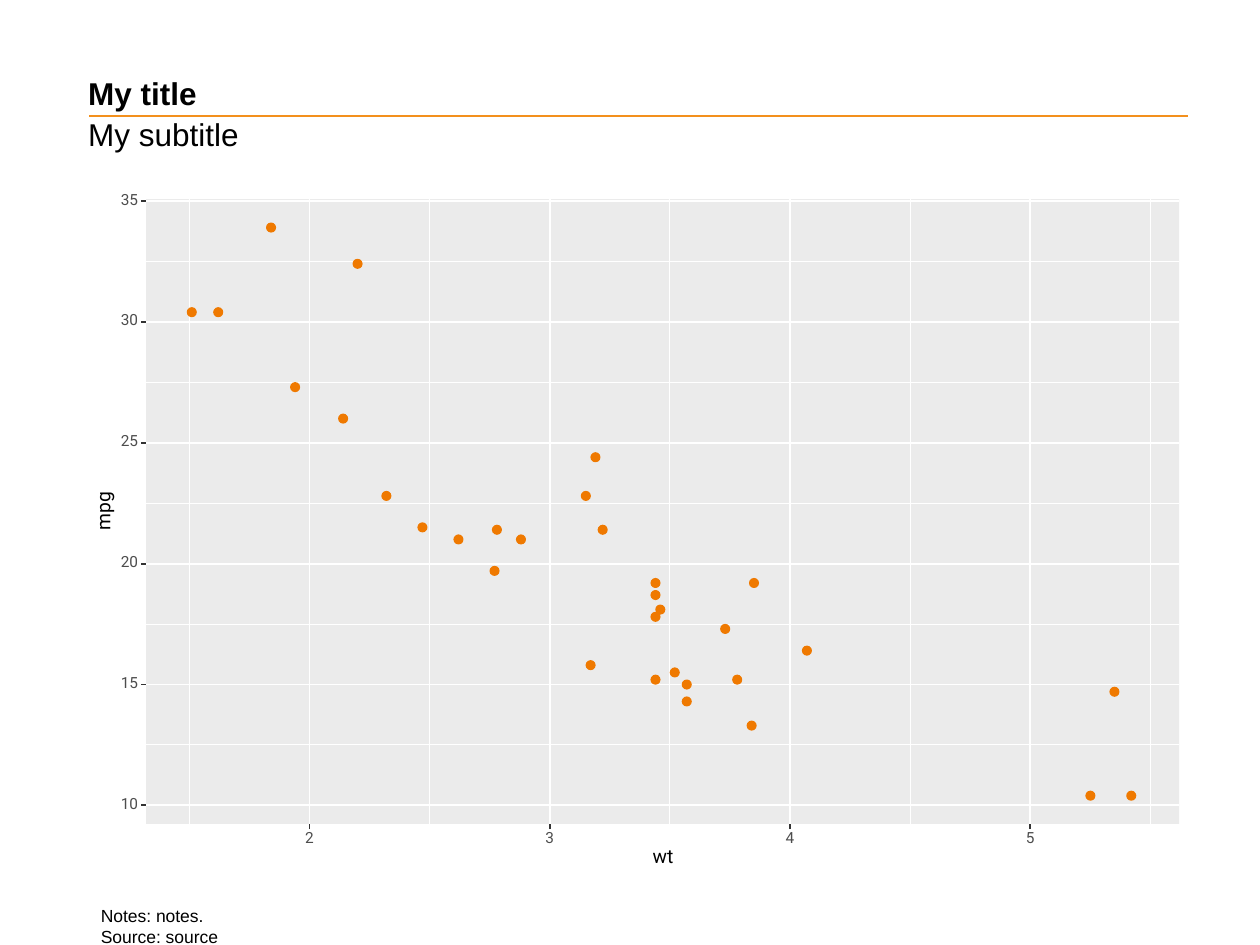
from lxml.etree import SubElement
from pptx import Presentation
from pptx.dml.color import RGBColor
from pptx.enum.shapes import MSO_CONNECTOR, MSO_SHAPE
from pptx.enum.text import MSO_ANCHOR, MSO_AUTO_SIZE, PP_ALIGN
from pptx.oxml.ns import qn
from pptx.util import Inches, Pt

COLORS = {"rule": "F3901D", "point": "EF7900", "panel": "EBEBEB", "white": "FFFFFF",
          "label": "4D4D4D", "tick": "333333", "text": "000000"}
CHART = (0.7, 1.5, 8.74, 5.48)
PANEL = (1.16, 1.58, 8.2, 4.96)
LEFT, TOP, WIDTH, HEIGHT = PANEL
RIGHT, BOTTOM = LEFT + WIDTH, TOP + HEIGHT
WT_RANGE = (1.32, 5.62)
MPG_RANGE = (9.23, 35.08)
WT_MAJOR = [2, 3, 4, 5]
WT_MINOR = [1.5, 2.5, 3.5, 4.5, 5.5]
MPG_MAJOR = [10, 15, 20, 25, 30, 35]
MPG_MINOR = [12.5, 17.5, 22.5, 27.5, 32.5]
TICK_LENGTH = 0.04
POINT_SIZE = 0.07
CARS = [
    (2.62, 21), (2.88, 21), (2.32, 22.8), (3.22, 21.4), (3.44, 18.7), (3.46, 18.1),
    (3.57, 14.3), (3.19, 24.4), (3.15, 22.8), (3.44, 19.2), (3.44, 17.8), (4.07, 16.4),
    (3.73, 17.3), (3.78, 15.2), (5.25, 10.4), (5.42, 10.4), (5.35, 14.7), (2.2, 32.4),
    (1.62, 30.4), (1.84, 33.9), (2.47, 21.5), (3.52, 15.5), (3.44, 15.2), (3.84, 13.3),
    (3.85, 19.2), (1.94, 27.3), (2.14, 26), (1.51, 30.4), (3.17, 15.8), (2.77, 19.7),
    (3.57, 15), (2.78, 21.4),
]


def wt_position(wt):
    return LEFT + WIDTH * (wt - WT_RANGE[0]) / (WT_RANGE[1] - WT_RANGE[0])


def mpg_position(mpg):
    return BOTTOM - HEIGHT * (mpg - MPG_RANGE[0]) / (MPG_RANGE[1] - MPG_RANGE[0])


class SlideBuilder:
    def __init__(self, slide):
        self.slide = slide
        self.text_font = "Arial"
        self.chart_font = "Roboto"

    def color(self, name):
        return RGBColor.from_string(COLORS[name])

    def add_run(self, paragraph, text, font_name, size, color, bold=False):
        run = paragraph.add_run()
        run.text = text
        run.font.name, run.font.size, run.font.bold = font_name, Pt(size), bold
        run.font.color.rgb = self.color(color)

    def set_frame(self, frame, anchor, inset=(0, 0), wrap=True):
        frame.word_wrap = wrap
        frame.auto_size = MSO_AUTO_SIZE.NONE
        frame.vertical_anchor = anchor
        frame.margin_left = frame.margin_right = Inches(inset[0])
        frame.margin_top = frame.margin_bottom = Inches(inset[1])

    def placeholder(self, index, box, lines, size, bold=False, inset=(0, 0),
                    anchor=MSO_ANCHOR.TOP, spacing=1.0):
        shape = self.slide.placeholders[index]
        shape.left, shape.top, shape.width, shape.height = map(Inches, box)
        self.set_frame(shape.text_frame, anchor, inset)
        paragraph = shape.text_frame.paragraphs[0]
        paragraph.alignment = PP_ALIGN.LEFT
        paragraph.line_spacing = spacing
        paragraph.space_before = Pt(0)
        properties = paragraph._p.get_or_add_pPr()
        properties.set("marL", "0")
        properties.set("indent", "0")
        SubElement(properties, qn("a:buNone"))
        for number, line in enumerate(lines):
            if number:
                paragraph.add_line_break()
            self.add_run(paragraph, line, self.text_font, size, "text", bold)

    def label(self, text, box, size, color, rotation=0):
        shape = self.slide.shapes.add_textbox(*map(Inches, box))
        shape.rotation = rotation
        self.set_frame(shape.text_frame, MSO_ANCHOR.MIDDLE, wrap=False)
        paragraph = shape.text_frame.paragraphs[0]
        paragraph.line_spacing = Pt(size)
        self.add_run(paragraph, text, self.chart_font, size, color)

    def line(self, start, end, color, width):
        points = [Inches(value) for value in (*start, *end)]
        connector = self.slide.shapes.add_connector(MSO_CONNECTOR.STRAIGHT, *points)
        connector.line.color.rgb = self.color(color)
        connector.line.width = Pt(width)
        SubElement(connector._element.spPr, qn("a:effectLst"))

    def shape(self, kind, box, fill, line_width=0):
        shape = self.slide.shapes.add_shape(kind, *map(Inches, box))
        shape.shadow.inherit = False
        shape.fill.solid()
        shape.fill.fore_color.rgb = self.color(fill)
        if line_width:
            shape.line.color.rgb = self.color(fill)
            shape.line.width = Pt(line_width)
        else:
            shape.line.fill.background()

    def grid(self, wt_values, mpg_values, width):
        for mpg in mpg_values:
            y = mpg_position(mpg)
            self.line((LEFT, y), (RIGHT, y), "white", width)
        for wt in wt_values:
            x = wt_position(wt)
            self.line((x, BOTTOM), (x, TOP), "white", width)

    def points(self):
        for wt, mpg in CARS:
            corner = (wt_position(wt) - POINT_SIZE / 2, mpg_position(mpg) - POINT_SIZE / 2)
            self.shape(MSO_SHAPE.OVAL, (*corner, POINT_SIZE, POINT_SIZE), "point", 0.71)

    def axes(self):
        for mpg in MPG_MAJOR:
            y = mpg_position(mpg)
            self.label(str(mpg), (0.96, y - 0.05, 0.14, 0.09), 8.8, "label")
            self.line((LEFT - TICK_LENGTH, y), (LEFT, y), "tick", 1.07)
        for wt in WT_MAJOR:
            x = wt_position(wt)
            self.label(str(wt), (x - 0.035, 6.61, 0.07, 0.09), 8.8, "label")
            self.line((x, BOTTOM + TICK_LENGTH), (x, BOTTOM), "tick", 1.07)
        self.label("wt", (5.18, 6.76, 0.15, 0.1), 11, "text")
        self.label("mpg", (0.68, 4, 0.3, 0.12), 11, "text", rotation=270)

    def scatter(self):
        self.shape(MSO_SHAPE.RECTANGLE, CHART, "white", 1.07)
        self.shape(MSO_SHAPE.RECTANGLE, PANEL, "panel")
        self.grid(WT_MINOR, MPG_MINOR, 0.53)
        self.grid(WT_MAJOR, MPG_MAJOR, 1.07)
        self.points()
        self.axes()


def main():
    presentation = Presentation()
    presentation.slide_width, presentation.slide_height = Inches(10), Inches(7.5)
    slide = presentation.slides.add_slide(presentation.slide_layouts[3])
    builder = SlideBuilder(slide)
    builder.line((0.71, 0.92), (9.43, 0.92), "rule", 1.5)
    builder.placeholder(0, (0.7, 0.21, 7.09, 0.68), ["My title"], 18, bold=True,
                        anchor=MSO_ANCHOR.BOTTOM)
    builder.placeholder(1, (0.7, 0.95, 8.74, 0.7), ["My subtitle"], 18, spacing=0.9)
    builder.scatter()
    builder.placeholder(2, (0.7, 7.13, 8.74, 0.29), ["Notes: notes. ", "Source: source"],
                        10, inset=(0.1, 0.05))
    presentation.save("out.pptx")


if __name__ == "__main__":
    main()
